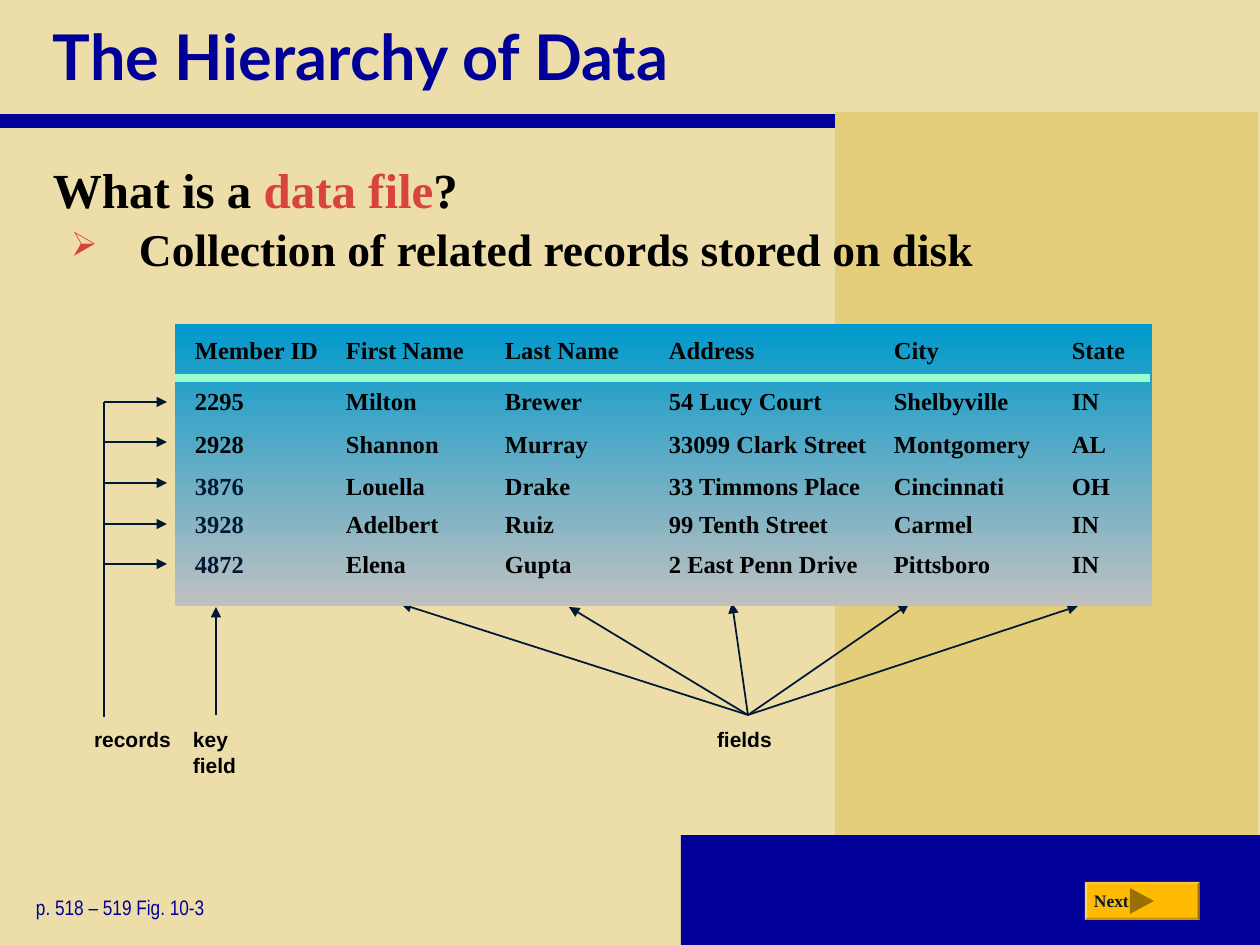
"""Build the data file slide of the Hierarchy of Data lesson."""
import pptx
import pptx.dml.color
import pptx.enum.shapes
import pptx.enum.text
import pptx.oxml
import pptx.oxml.ns
import pptx.util

HUES = {
    "sand": "EDDEA9", "gold": "E4CE7C", "navy": "000099", "black": "000000",
    "red": "D94439", "ink": "001932", "blue": "0099CC", "grey": "C0C0C0",
    "mint": "99FFCC", "amber": "FFBA02", "brown": "997001",
}
SERIF, SANS = "Times New Roman", "Arial"
PLAIN = "{2D5ABB26-0587-4C30-8999-92F81FD0307C}"
KINDS = pptx.enum.shapes.MSO_SHAPE
ROWS = [
    ("Member ID", "First Name", "Last Name", "Address", "City", "State"),
    ("2295", "Milton", "Brewer", "54 Lucy Court", "Shelbyville", "IN"),
    ("2928", "Shannon", "Murray", "33099 Clark Street", "Montgomery", "AL"),
    ("3876", "Louella", "Drake", "33 Timmons Place", "Cincinnati", "OH"),
    ("3928", "Adelbert", "Ruiz", "99 Tenth Street", "Carmel", "IN"),
    ("4872", "Elena", "Gupta", "2 East Penn Drive", "Pittsboro", "IN"),
]
WIDTHS = (151, 159, 164, 225, 178, 79)
HEIGHTS = (51, 43, 42, 38, 40, 39)


def px(num):
    return pptx.util.Emu(round(num * 914400 / 126))


def hue(name):
    return pptx.dml.color.RGBColor.from_string(HUES[name])


def add_xml(node, tag, **attrs):
    child = pptx.oxml.parse_xml(f"<a:{tag} {pptx.oxml.ns.nsdecls('a')}/>")
    for key, value in attrs.items():
        child.set(key, value)
    node.append(child)
    return child


class Deck:
    """Hold the style and the current slide."""

    def __init__(self, wide, high):
        self.show = pptx.Presentation()
        self.show.slide_width, self.show.slide_height = px(wide), px(high)
        self.slide = self.show.slides.add_slide(self.show.slide_layouts[5])
        self.shapes = self.slide.shapes
        back = self.slide.background.fill
        back.solid()
        back.fore_color.rgb = hue("sand")

    def runs(self, para, parts, size, font, bold=True):
        para.alignment = pptx.enum.text.PP_ALIGN.LEFT
        for words, color in parts:
            run = para.add_run()
            run.text = words
            run.font.size, run.font.name = pptx.util.Pt(size), font
            run.font.bold = bold
            run.font.color.rgb = hue(color)

    def frame(self, frame, pad):
        frame.word_wrap = True
        frame.auto_size = pptx.enum.text.MSO_AUTO_SIZE.NONE
        frame.margin_left = frame.margin_right = px(pad[0])
        frame.margin_top = frame.margin_bottom = px(pad[1])

    def title(self, box, words, size, font):
        shape = self.shapes.title
        shape.left, shape.top, shape.width, shape.height = map(px, box)
        self.frame(shape.text_frame, (13, 6))
        shape.text_frame.vertical_anchor = pptx.enum.text.MSO_ANCHOR.MIDDLE
        self.runs(shape.text_frame.paragraphs[0], [(words, "navy")], size, font)

    def text(self, box, parts, size, font, pad=(13, 6), bold=True, mark=None):
        frame = self.shapes.add_textbox(*map(px, box)).text_frame
        self.frame(frame, pad)
        para = frame.paragraphs[0]
        if mark:
            para.level = 1
            props = para._p.get_or_add_pPr()
            props.set("marL", str(px(84)))
            props.set("indent", str(px(-68)))
            add_xml(add_xml(props, "buClr"), "srgbClr", val=HUES["red"])
            add_xml(props, "buSzPct", val="75000")
            add_xml(props, "buChar", char=mark)
        self.runs(para, parts, size, font, bold)

    def paint(self, shape, color):
        shape.shadow.inherit = False
        shape.line.fill.background()
        shape.fill.solid()
        shape.fill.fore_color.rgb = hue(color)

    def block(self, box, color, kind=KINDS.RECTANGLE):
        shape = self.shapes.add_shape(kind, *map(px, box))
        self.paint(shape, color)
        return shape

    def blend(self, box, *colors):
        fill = self.block(box, colors[0]).fill
        fill.gradient()
        fill.gradient_angle = 270
        for stop, color, place in zip(fill.gradient_stops, colors, (0, 1)):
            stop.color.rgb, stop.position = hue(color), place

    def outline(self, points, color):
        first, *rest = points
        draft = self.shapes.build_freeform(*first, scale=px(1))
        draft.add_line_segments(rest)
        self.paint(draft.convert_to_shape(), color)

    def line(self, start, end, color="ink", width=1, head=False):
        kind = pptx.enum.shapes.MSO_CONNECTOR.STRAIGHT
        link = self.shapes.add_connector(kind, *map(px, start + end))
        link.line.color.rgb = hue(color)
        link.line.width = pptx.util.Pt(width)
        props = link.element.spPr
        if head:
            add_xml(props.find(pptx.oxml.ns.qn("a:ln")), "tailEnd", type="triangle")
        add_xml(props, "effectLst")

    def table(self, left, top, rows, widths, heights):
        box = map(px, (left, top, sum(widths), sum(heights)))
        holder = self.shapes.add_table(len(rows), len(widths), *box)
        for node in holder.element.iter(pptx.oxml.ns.qn("a:tableStyleId")):
            node.text = PLAIN
        grid = holder.table
        grid.first_row = grid.horz_banding = False
        for col, width in zip(grid.columns, widths):
            col.width = px(width)
        for i, (row, height) in enumerate(zip(rows, heights)):
            grid.rows[i].height = px(height)
            for j, words in enumerate(row):
                cell = grid.cell(i, j)
                cell.fill.background()
                cell.margin_left = cell.margin_right = px(6)
                cell.margin_top = cell.margin_bottom = 0
                color = "ink" if j == 0 and i > 2 else "black"
                self.runs(cell.text_frame.paragraphs[0], [(words, color)], 14, SERIF)


def main():
    deck = Deck(1260, 945)
    deck.block((681, 835, 579, 110), "navy")
    deck.block((835, 112, 423, 723), "gold")
    deck.line((-1, 121), (835, 121), "navy", 8)
    deck.title((40, 0, 1183, 111), "The Hierarchy of Data", 36, "Lato")
    ask = [("What is a ", "black"), ("data file", "red"), ("?", "black")]
    deck.text((40, 154, 1183, 76), ask, 28, SERIF)
    reply = [("Collection of related records stored on disk", "black")]
    deck.text((42, 215, 1081, 71), reply, 26, SERIF, mark="➢")
    deck.text((23, 889, 213, 38), [("p. 518 – 519 Fig. 10-3", "navy")], 12,
              "Arial Narrow", bold=False)

    button = deck.block((1085, 882, 115, 38), "amber", KINDS.BEVEL)
    button.adjustments[0] = 0.06
    deck.outline([(1130, 888), (1154, 901), (1130, 914)], "brown")
    deck.text((1081, 884, 64, 34), [("Next", "ink")], 10, SERIF)

    for left, width, words in ((94, 81, "records"), (193, 63, "key field"),
                               (717, 68, "fields")):
        deck.text((left, 727, width, 50), [(words, "black")], 12, SANS, (0, 0))
    deck.line((104, 402), (104, 717), width=0.75)
    for i in range(5):
        level = 402 + round(40.5 * i)
        deck.line((104, level), (167, level), head=True)
    deck.line((216, 715), (216, 607), head=True)
    for tip in ((401, 604), (569, 607), (732, 603), (909, 604), (1078, 606)):
        deck.line((748, 715), tip, head=True)

    deck.blend((175, 324, 977, 282), "blue", "grey")
    deck.line((175, 378), (1150, 378), "mint", 4.5)
    deck.table(189, 338, ROWS, WIDTHS, HEIGHTS)
    deck.show.save("out.pptx")


if __name__ == "__main__":
    main()
